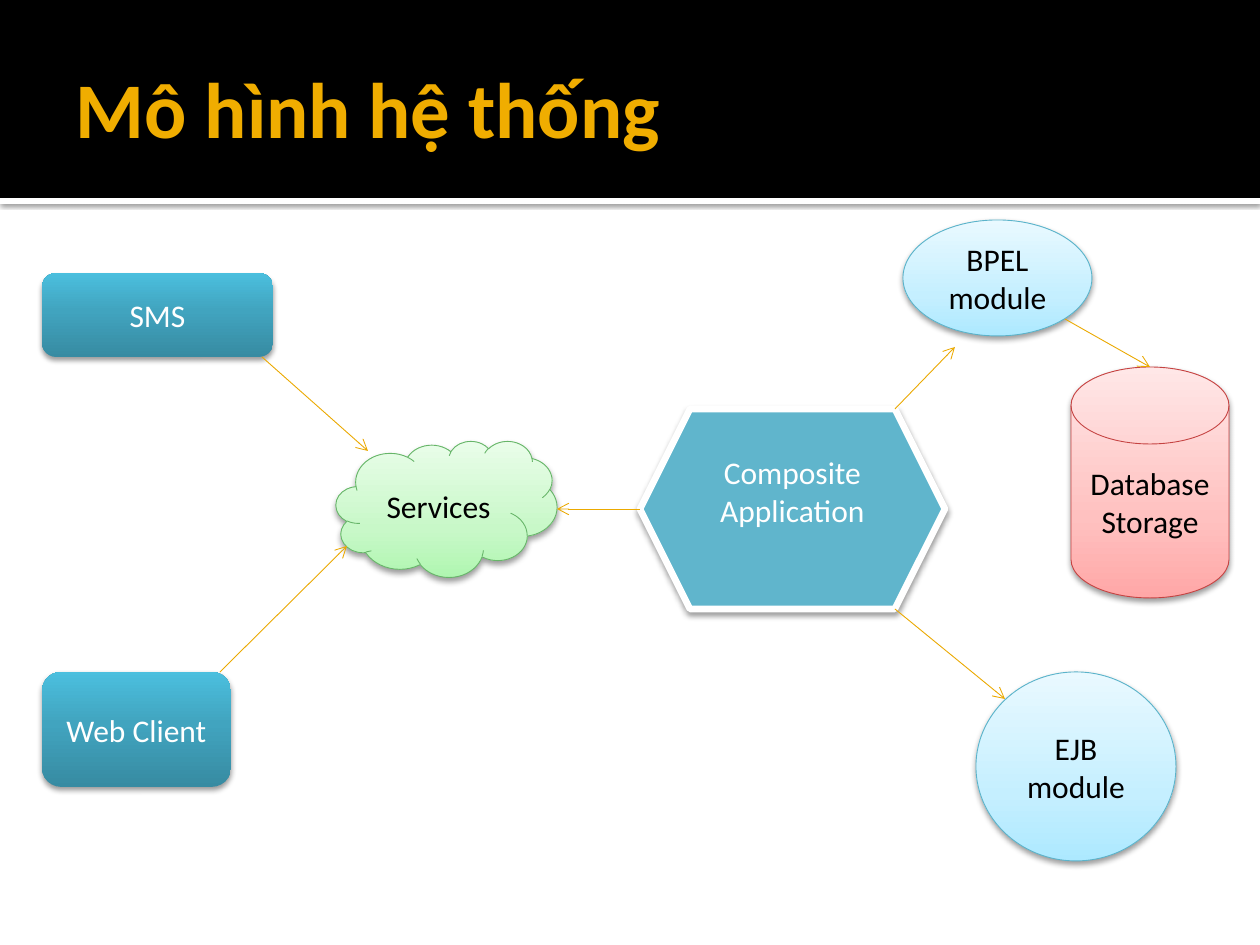
from lxml.etree import SubElement
from pptx import Presentation
from pptx.dml.color import RGBColor
from pptx.enum.shapes import MSO_CONNECTOR, MSO_SHAPE
from pptx.enum.text import MSO_ANCHOR, PP_ALIGN
from pptx.oxml.ns import qn
from pptx.util import Emu, Pt

PX = 914400 // 126
FONT = "Calibri"
COLORS = {
    "black": "000000", "white": "FFFFFF", "title": "F0AD00", "arrow": "EBA900",
    "hexagon": "60B5CC", "module_line": "5BB3CA", "database_line": "C54342",
    "services_line": "67B569",
}
GRADIENTS = {
    "module": [(0, "ADE9FF"), (35, "C5EFFF"), (100, "E9F9FF")],
    "database": [(0, "FFA7A7"), (35, "FFC1C0"), (100, "FFE7E7")],
    "services": [(0, "B0F6B1"), (35, "C8F8C8"), (100, "E9FDE9")],
    "client": [(0, "378BA2"), (55, "41A4BF"), (100, "4BBFDE")],
}
# Shadow values: opacity in percent, blur and distance in points
NODE_SHADOW = (38, 3.5, 2)
CLIENT_SHADOW = (38, 3.1, 2)
BAR_SHADOW = (60, 2.5, 0.8)

MODULE = {"fill": "module", "line": "module_line"}
CLIENT = {"fill": "client", "color": "white", "shadow": CLIENT_SHADOW}
NODES = [
    (MSO_SHAPE.OVAL, (903, 220, 189, 116), ["BPEL module"], MODULE),
    (MSO_SHAPE.OVAL, (976, 672, 200, 189), ["EJB module"], MODULE),
    (MSO_SHAPE.FLOWCHART_MAGNETIC_DISK, (1071, 367, 158, 231), ["Database", "Storage"],
     {"fill": "database", "line": "database_line"}),
    (MSO_SHAPE.HEXAGON, (640, 409, 305, 200), ["Composite Application"],
     {"fill": "hexagon", "line": "white", "weight": 3.82, "color": "white", "bottom": 43}),
    (MSO_SHAPE.CLOUD, (336, 441, 221, 136), ["Services"],
     {"fill": "services", "line": "services_line"}),
    (MSO_SHAPE.ROUNDED_RECTANGLE, (42, 672, 189, 115), ["Web Client"], CLIENT),
    (MSO_SHAPE.ROUNDED_RECTANGLE, (42, 273, 231, 84), ["SMS"], CLIENT),
]
ARROWS = [
    (895, 409, 955, 347), (895, 609, 1005, 699), (1065, 319, 1150, 367),
    (640, 509, 557, 509), (262, 357, 368, 451), (220, 672, 347, 546),
]


def px(*lengths):
    """Turn pixel lengths into EMU."""
    return [Emu(length * PX) for length in lengths]


def rgb(name):
    """Look up a colour by its role."""
    return RGBColor.from_string(COLORS[name])


def apply(target, values):
    """Set attributes from a dict of format values."""
    for key, value in values.items():
        setattr(target, key, value)


def add_color(parent, hex_color):
    """Append an RGB colour element."""
    return SubElement(parent, qn("a:srgbClr"), val=hex_color)


def paint(shape, fill):
    """Fill with a named upward gradient or a plain colour."""
    if fill not in GRADIENTS:
        shape.fill.solid()
        shape.fill.fore_color.rgb = rgb(fill)
        return
    shape.fill.gradient()
    shape.fill.gradient_angle = 90
    stops = shape._element.spPr.find(".//" + qn("a:gsLst"))
    for stop in list(stops):
        stops.remove(stop)
    for position, color in GRADIENTS[fill]:
        add_color(SubElement(stops, qn("a:gs"), pos=str(position * 1000)), color)


def cast_shadow(shape, opacity, blur, distance):
    """Give a shape a soft shadow straight below it."""
    effects = shape._element.spPr.find(qn("a:effectLst"))
    outer = SubElement(effects, qn("a:outerShdw"), blurRad=str(Pt(blur)),
                       dist=str(Pt(distance)), dir="5400000", rotWithShape="0")
    SubElement(add_color(outer, COLORS["black"]), qn("a:alpha"), val=str(opacity * 1000))


def write(frame, lines, align, size, color, bold=False):
    """Write one paragraph per line, centred vertically."""
    apply(frame, {"word_wrap": True, "vertical_anchor": MSO_ANCHOR.MIDDLE})
    for index, line in enumerate(lines):
        paragraph = frame.add_paragraph() if index else frame.paragraphs[0]
        paragraph.alignment = align
        run = paragraph.add_run()
        run.text = line
        apply(run.font, {"name": FONT, "size": Pt(size), "bold": bold})
        run.font.color.rgb = rgb(color)


def add_node(slide, kind, box, fill, line=None, weight=0.5, shadow=None):
    """Add a filled shape with an optional outline and shadow."""
    node = slide.shapes.add_shape(kind, *px(*box))
    paint(node, fill)
    if line:
        node.line.color.rgb = rgb(line)
        node.line.width = Pt(weight)
    else:
        node.line.fill.background()
    node.shadow.inherit = False
    if shadow:
        cast_shadow(node, *shadow)
    return node


def add_labelled_node(slide, kind, box, lines, color="black", bottom=6,
                      shadow=NODE_SHADOW, **look):
    """Add a component of the system with its centred label."""
    node = add_node(slide, kind, box, shadow=shadow, **look)
    node.text_frame.margin_bottom = px(bottom)[0]
    write(node.text_frame, lines, PP_ALIGN.CENTER, 18, color)


def add_arrow(slide, ends):
    """Add a thin line with an open arrowhead at its end."""
    arrow = slide.shapes.add_connector(MSO_CONNECTOR.STRAIGHT, *px(*ends))
    arrow.line.color.rgb = rgb("arrow")
    arrow.line.width = Pt(0.5)
    properties = arrow._element.spPr
    SubElement(properties.find(qn("a:ln")), qn("a:tailEnd"), type="arrow")
    SubElement(properties, qn("a:effectLst"))


def add_header(slide):
    """Add the black band, the white bar below it and the title."""
    add_node(slide, MSO_SHAPE.RECTANGLE, (0, 198, 1260, 6), "white", shadow=BAR_SHADOW)
    add_node(slide, MSO_SHAPE.RECTANGLE, (0, 0, 1260, 198), "black")
    title = slide.shapes.add_textbox(*px(63, 21, 1134, 173)).text_frame
    inset, small_inset = px(13, 6)
    apply(title, {"margin_left": inset, "margin_right": small_inset,
                  "margin_top": small_inset, "margin_bottom": small_inset})
    write(title, ["Mô hình hệ thống"], PP_ALIGN.LEFT, 45, "title", bold=True)


def main():
    """Build the system model slide."""
    deck = Presentation()
    deck.slide_width, deck.slide_height = px(1260, 945)
    slide = deck.slides.add_slide(deck.slide_layouts[6])
    add_header(slide)
    for kind, box, lines, look in NODES:
        add_labelled_node(slide, kind, box, lines, **look)
    for ends in ARROWS:
        add_arrow(slide, ends)
    deck.save("out.pptx")


main()
